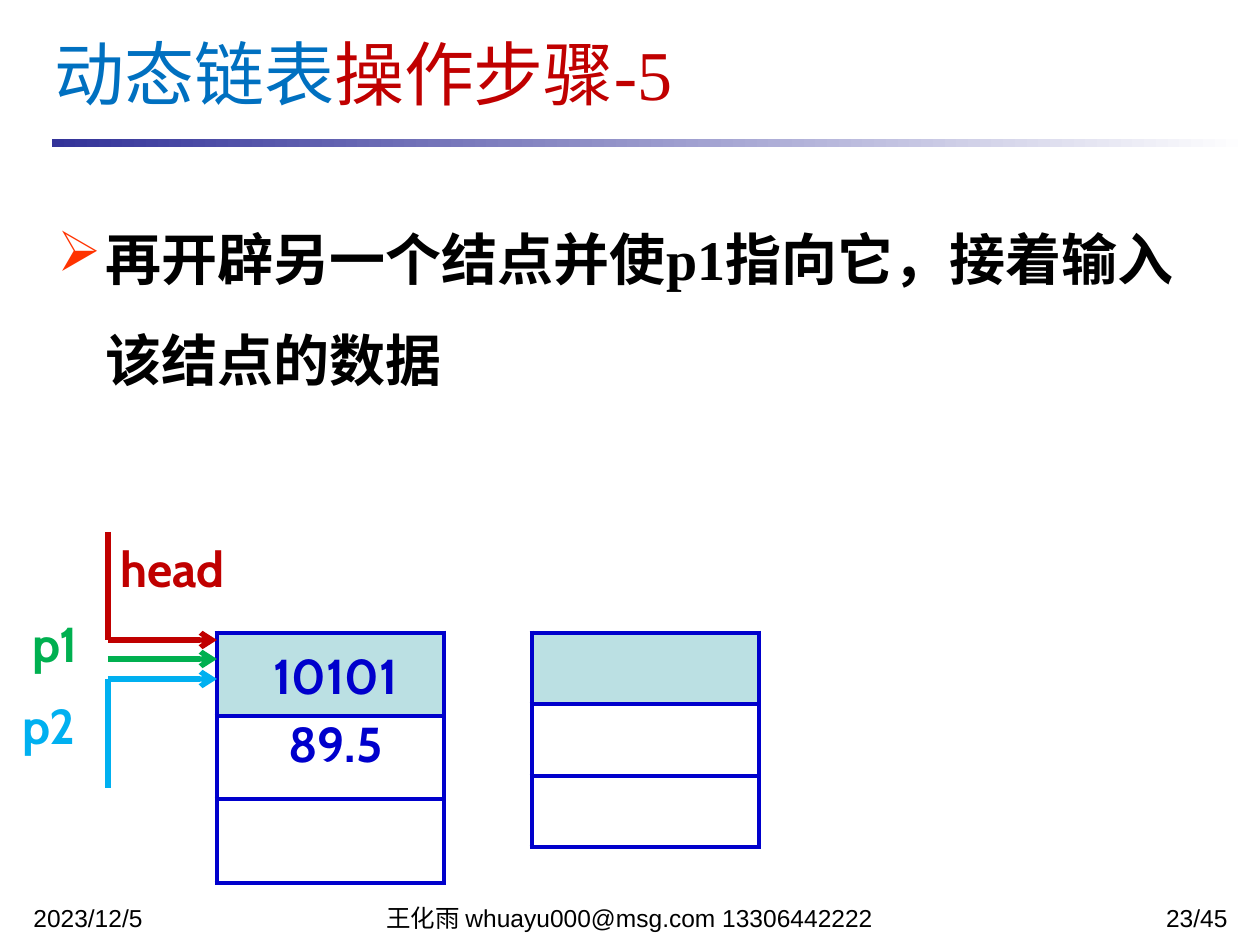
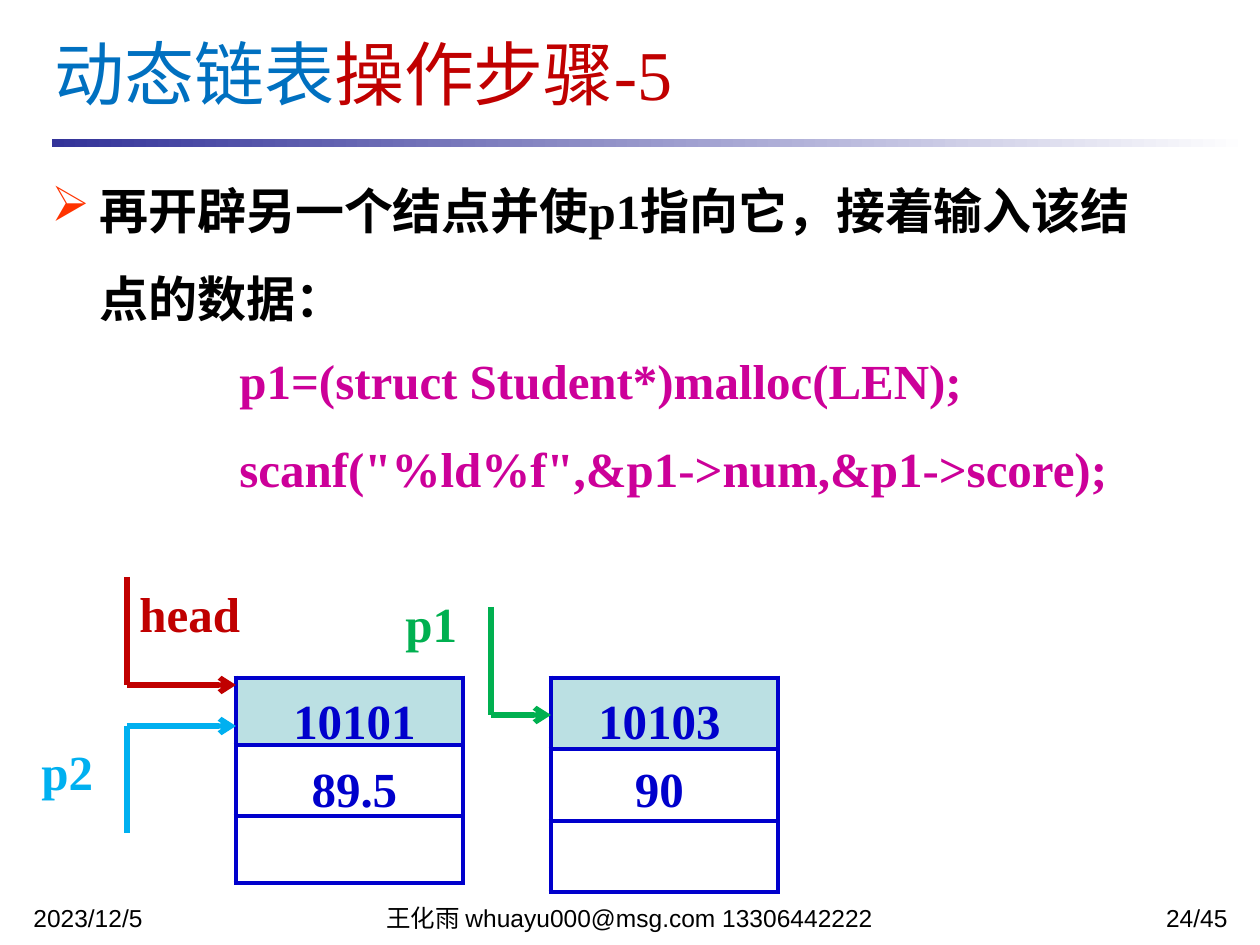
from dataclasses import dataclass

from lxml import etree
from pptx import Presentation
from pptx import util as u
from pptx.dml.color import RGBColor
from pptx.enum import shapes, text
from pptx.oxml import ns

EMU_PER_PX = 914400 / 126
SERIF, SANS, ROUNDED = "Times New Roman", "Arial", "Cabin"
BLACK, WHITE, NAVY, RED = "000000", "FFFFFF", "333399", "C00000"
BLUE, GREEN, SKY = "0070C0", "00B050", "00B0F0"
NODE_BLUE, NODE_FILL = "0000CC", "BBE0E3"
CODE_PINK, BULLET_ORANGE = "CC0099", "FF3300"
LEFT, CENTER, RIGHT = text.PP_ALIGN.LEFT, text.PP_ALIGN.CENTER, text.PP_ALIGN.RIGHT
NODE_WIDTH = 227
LABEL_HEIGHT = 72
BULLET_INDENT = 48
LINE_WEIGHT = u.Pt(3)
TITLE = (("动态链表", BLUE), ("操作步骤-5", RED))


@dataclass(frozen=True)
class Box:
    left: int
    top: int
    width: int
    height: int


@dataclass(frozen=True)
class Style:
    font: str
    size: int
    color: str
    bold: bool = True
    align: text.PP_ALIGN = LEFT
    spacing: float | u.Length = 1.0


@dataclass(frozen=True)
class Node:
    left: int
    top: int
    rows: tuple[int, ...]
    values: tuple[str, ...] = ()
    value_shift: int = 10


@dataclass(frozen=True)
class Pointer:
    """A named arrow; its tail rail runs from rail_end to the arrow's height."""
    name: str
    color: str
    label: Box
    start_x: int
    tip_x: int
    tip_y: int
    rail_end: int | None = None


@dataclass(frozen=True)
class Step:
    number: str
    body: str
    body_box: Box
    body_size: int
    diagram_font: str
    nodes: tuple[Node, ...]
    pointers: tuple[Pointer, ...]
    code: tuple[str, ...] = ()


STEPS = (
    Step("23/45", "再开辟另一个结点并使p1指向它，接着输入该结点的数据",
         Box(45, 185, 1152, 256), 32, ROUNDED,
         (Node(217, 633, (83, 83, 84), ("10101", "89.5")),
          Node(532, 633, (71, 72, 71))),
         (Pointer("head", RED, Box(108, 532, 168, LABEL_HEIGHT), 108, 217, 640, 532),
          Pointer("p1", GREEN, Box(20, 607, 108, LABEL_HEIGHT), 108, 217, 659),
          Pointer("p2", SKY, Box(10, 689, 108, LABEL_HEIGHT), 108, 217, 679, 788))),
    Step("24/45", "再开辟另一个结点并使p1指向它，接着输入该结点的数据：",
         Box(39, 145, 1152, 256), 28, SERIF,
         (Node(236, 678, (67, 71, 67), ("10101", "89.5")),
          Node(551, 678, (71, 72, 71), ("10103", "90"), 0)),
         (Pointer("head", RED, Box(127, 577, 168, LABEL_HEIGHT), 127, 236, 685, 577),
          Pointer("p1", GREEN, Box(393, 587, 108, LABEL_HEIGHT), 491, 551, 715, 607),
          Pointer("p2", SKY, Box(29, 735, 108, LABEL_HEIGHT), 127, 236, 726, 833)),
         ("p1=(struct Student*)malloc(LEN);",
          'scanf("%ld%f",&p1->num,&p1->score);')),
)


def px(length: int) -> u.Emu:
    return u.Emu(round(length * EMU_PER_PX))


def place(box: Box) -> tuple[u.Emu, ...]:
    return px(box.left), px(box.top), px(box.width), px(box.height)


def rgb(color: str) -> RGBColor:
    return RGBColor.from_string(color)


def add_text(slide, box: Box, lines: tuple[str, ...], style: Style):
    frame = slide.shapes.add_textbox(*place(box)).text_frame
    frame.word_wrap = True
    frame.text = "\n".join(lines)
    for paragraph in frame.paragraphs:
        paragraph.alignment = style.align
        paragraph.line_spacing = style.spacing
        for run in paragraph.runs:
            run.font.name = style.font
            run.font.size = u.Pt(style.size)
            run.font.bold = style.bold
            run.font.color.rgb = rgb(style.color)
    return frame


def add_title(slide) -> None:
    frame = add_text(slide, Box(42, 10, 1177, 126), ("",), Style(SERIF, 40, BLUE, False))
    frame.vertical_anchor = text.MSO_ANCHOR.MIDDLE
    for words, color in TITLE:
        run = frame.paragraphs[0].add_run()
        run.text = words
        run.font.name = SERIF
        run.font.size = u.Pt(40)
        run.font.color.rgb = rgb(color)


def add_title_rule(slide) -> None:
    rule = slide.shapes.add_shape(shapes.MSO_SHAPE.RECTANGLE,
                                  *place(Box(52, 139, 1198, 8)))
    rule.shadow.inherit = False
    rule.line.fill.background()
    rule.fill.gradient()
    rule.fill.gradient_angle = 0
    for stop, color, position in zip(rule.fill.gradient_stops, (NAVY, WHITE), (0, 1)):
        stop.color.rgb = rgb(color)
        stop.position = position


def add_footer(slide, number: str) -> None:
    parts = (
        (21, 294, "2023/12/5", LEFT),
        (325, 609, "王化雨 whuayu000@msg.com 13306442222", CENTER),
        (998, 242, number, RIGHT),
    )
    for left, width, words, align in parts:
        add_text(slide, Box(left, 903, width, 23), (words,),
                 Style(SANS, 14, BLACK, False, align, 0.8))


def add_body(slide, step: Step) -> None:
    frame = add_text(slide, step.body_box, (step.body,),
                     Style(SERIF, step.body_size, BLACK, spacing=1.5))
    properties = frame.paragraphs[0]._p.get_or_add_pPr()
    properties.set("marL", str(px(BULLET_INDENT)))
    properties.set("indent", str(-px(BULLET_INDENT)))
    bullet_color = etree.SubElement(properties, ns.qn("a:buClr"))
    etree.SubElement(bullet_color, ns.qn("a:srgbClr"), val=BULLET_ORANGE)
    etree.SubElement(properties, ns.qn("a:buChar"), char="➢")


def add_borders(cell) -> None:
    properties = cell._tc.get_or_add_tcPr()
    for side in ("lnL", "lnR", "lnT", "lnB"):
        border = etree.SubElement(properties, ns.qn(f"a:{side}"), w=str(LINE_WEIGHT))
        fill = etree.SubElement(border, ns.qn("a:solidFill"))
        etree.SubElement(fill, ns.qn("a:srgbClr"), val=NODE_BLUE)


def add_node(slide, node: Node, font: str) -> None:
    box = Box(node.left, node.top, NODE_WIDTH, sum(node.rows))
    table = slide.shapes.add_table(len(node.rows), 1, *place(box)).table
    table.first_row = table.horz_banding = False
    for index, height in enumerate(node.rows):
        table.rows[index].height = px(height)
        cell = table.cell(index, 0)
        add_borders(cell)
        cell.fill.solid()
        cell.fill.fore_color.rgb = rgb(WHITE if index else NODE_FILL)
    if node.values:
        add_text(slide, Box(node.left + node.value_shift, node.top - 3, 217, 146),
                 node.values, Style(font, 28, NODE_BLUE, True, CENTER, u.Pt(39)))


def add_line(slide, start: tuple[int, int], end: tuple[int, int], color: str,
             arrow: bool = False) -> None:
    line = slide.shapes.add_connector(shapes.MSO_CONNECTOR.STRAIGHT,
                                      *map(px, start + end))
    line.line.color.rgb = rgb(color)
    line.line.width = LINE_WEIGHT
    if arrow:
        etree.SubElement(line.line._get_or_add_ln(), ns.qn("a:tailEnd"), type="arrow")
    etree.SubElement(line._element.spPr, ns.qn("a:effectLst"))


def add_pointer(slide, pointer: Pointer, font: str) -> None:
    add_text(slide, pointer.label, (pointer.name,), Style(font, 28, pointer.color))
    corner = (pointer.start_x, pointer.tip_y)
    add_line(slide, corner, (pointer.tip_x, pointer.tip_y), pointer.color, arrow=True)
    if pointer.rail_end is not None:
        add_line(slide, (pointer.start_x, pointer.rail_end), corner, pointer.color)


def add_step(deck, step: Step) -> None:
    slide = deck.slides.add_slide(deck.slide_layouts[6])
    add_title_rule(slide)
    add_footer(slide, step.number)
    add_body(slide, step)
    for node in step.nodes:
        add_node(slide, node, step.diagram_font)
    for pointer in step.pointers:
        add_pointer(slide, pointer, step.diagram_font)
    if step.code:
        add_text(slide, Box(227, 315, 992, 180), step.code,
                 Style(SERIF, 28, CODE_PINK, spacing=1.5))
    add_title(slide)


def main() -> None:
    deck = Presentation()
    deck.slide_width, deck.slide_height = px(1260), px(945)
    for step in STEPS:
        add_step(deck, step)
    deck.save("out.pptx")


if __name__ == "__main__":
    main()
